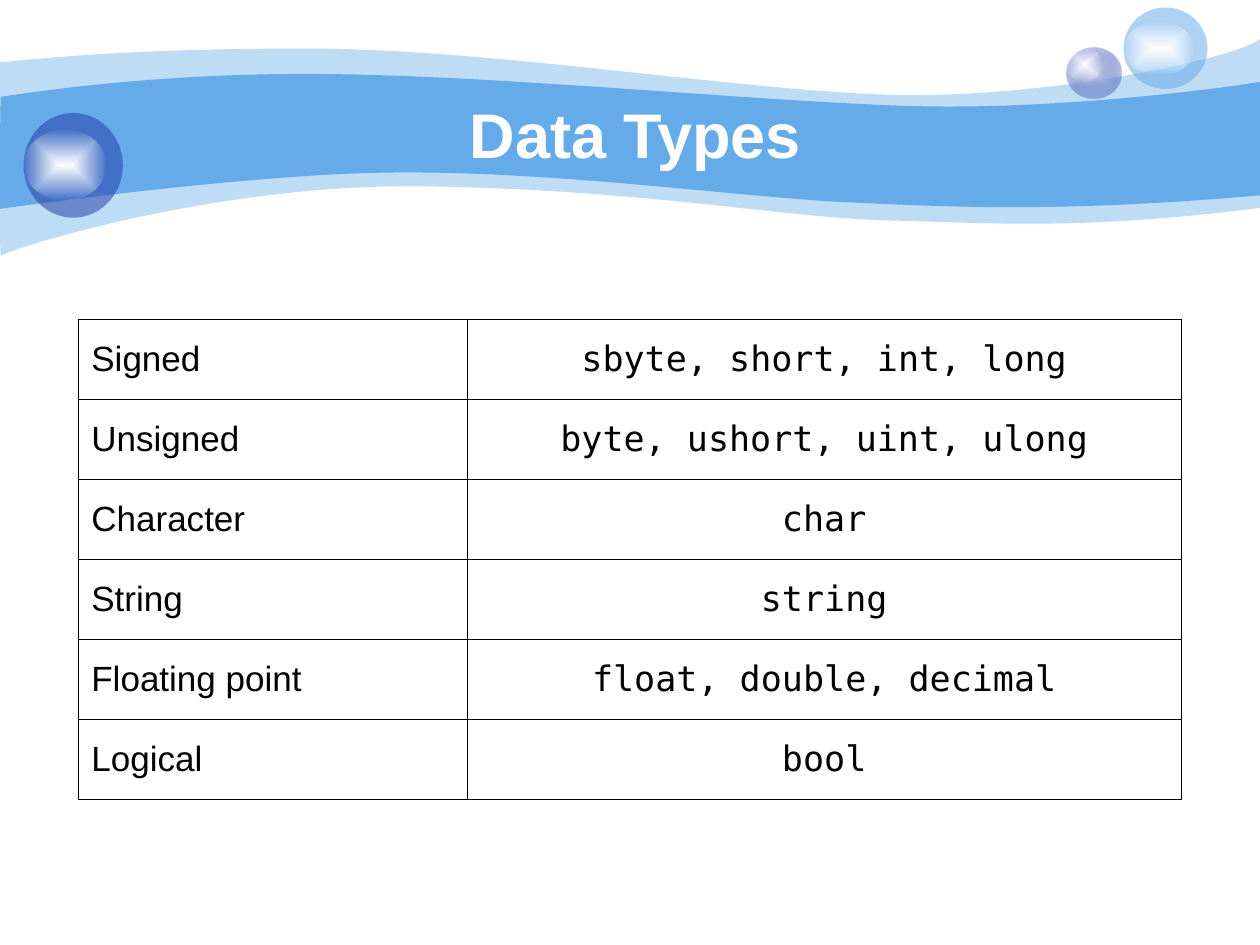
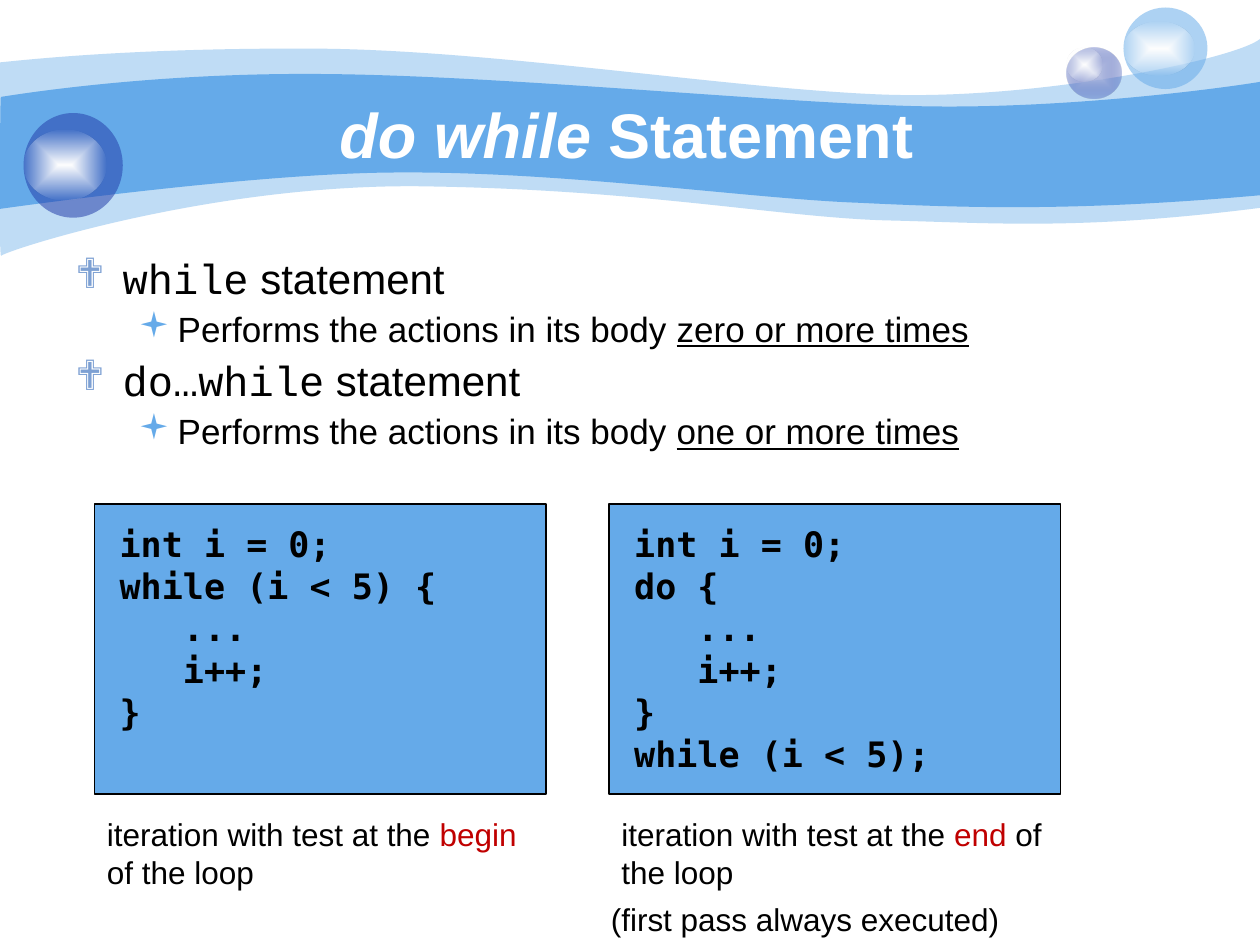
from lxml import etree
from pptx import Presentation
from pptx.dml.color import RGBColor
from pptx.enum import shapes, text
from pptx.oxml import parse_xml
from pptx.oxml.ns import nsdecls, qn
from pptx.util import Pt

COLORS = {
    "sky": "65AAE9",
    "navy": "233DA9",
    "lilac": "C7CEE9",
    "bullet": "7DA0D3",
    "red": "C00000",
    "black": "000000",
    "white": "FFFFFF",
}
SANS, COURIER, MONO, SYMBOLS = "Arial", "Courier New", "DejaVu Sans Mono", "Wingdings"

# Wave outlines in points: start, upper curves, lower right corner, lower curves.
# Each curve is two handles and an end point.
WAVES = [
    {"alpha": 41, "start": (-0.3, 35.7),
     "upper": [(17, 34), (77, 27.4), (178, 27.8), (278, 28), (414, 50.4), (503, 54),
               (592, 57.6), (706, 33.8), (720, 22.3)],
     "corner": (720, 118.8),
     "lower": [(618, 131.8), (567, 127.4), (508, 126), (448, 124.6), (371, 108.7),
               (247, 106.6), (124, 103.7), (3, 143.3), (0.7, 146.2),
               (-0.7, 149.8), (-0.3, 54), (-0.3, 35.7)]},
    {"alpha": 100, "start": (0.5, 55.4),
     "upper": [(1.4, 55.4), (79, 41.8), (178.6, 42.3), (278, 42.5), (428, 57.6),
               (517, 60.5), (605.5, 63.4), (703, 49.7), (720, 46.8)],
     "corner": (720, 111.6),
     "lower": [(614, 121), (551, 118.8), (491, 115.9), (431, 113.8), (322, 97.9),
               (228, 98.6), (146, 98.6), (-1.4, 119.5), (-0.7, 119.5),
               (0, 119.5), (0, 55.4), (0.5, 55.4)]},
]

# Each bubble: outer box, gloss box, gradient stops as (position, color, alpha)
BUBBLES = [
    ((609.6, 27, 31, 29.3), (609.6, 27, 20.2, 19.4),
     [(0, "lilac", 100), (100, "navy", 31)]),
    ((642, 4.3, 48, 46.6), (642, 12.2, 40.3, 31), [(0, "sky", 53)]),
    ((13.5, 64.6, 56.7, 59.8), (13.5, 74.4, 47.3, 40.1), [(0, "navy", 53)]),
]
GLOSS = [(0, "white", 100), (100, "white", 0)]

DATA_TYPES = [
    ("Signed", "sbyte, short, int, long"),
    ("Unsigned", "byte, ushort, uint, ulong"),
    ("Character", "char"),
    ("String", "string"),
    ("Floating point", "float, double, decimal"),
    ("Logical", "bool"),
]

BULLET_LEVELS = [
    {"char": "❖", "color": "bullet", "left": 27, "indent": -27, "size": 24, "before": 6},
    {"char": "▪", "color": "sky", "left": 58.5, "indent": -22.5, "size": 20, "before": 5},
]
BULLETS = [
    (0, [("while", {"name": COURIER}), (" statement", {})]),
    (1, [("Performs the actions in its body ", {}),
         ("zero or more times", {"underline": True})]),
    (0, [("do…while", {"name": COURIER}), (" statement", {})]),
    (1, [("Performs the actions in its body ", {}),
         ("one or more times", {"underline": True})]),
]

# Each loop: left edge, code lines, highlighted word of the caption
LOOPS = [
    (54, ["int i = 0;", "while (i < 5) {", "   ...", "   i++;", "}"], "begin"),
    (348, ["int i = 0;", "do {", "   ...", "   i++;", "}", "while (i < 5);"], "end"),
]


def rgb(color):
    return RGBColor.from_string(COLORS[color])


def set_all(target, values):
    for name, value in values.items():
        setattr(target, name, value)


def place(shape, left, top, width, height):
    set_all(shape, {"left": Pt(left), "top": Pt(top),
                    "width": Pt(width), "height": Pt(height)})


def add_run(paragraph, words, size, color="black", **formats):
    run = paragraph.add_run()
    run.text = words
    set_all(run.font, {"name": SANS, "size": Pt(size), **formats})
    run.font.color.rgb = rgb(color)


def set_fill(shape, stops):
    """Fill with one translucent color, or with a gradient from the centre outwards."""
    shape.shadow.inherit = False
    shape.line.fill.background()
    if len(stops) == 1:
        _, color, alpha = stops[0]
        shape.fill.solid()
        shape.fill.fore_color.rgb = rgb(color)
        if alpha < 100:
            color_node = shape.element.spPr.find(qn("a:solidFill"))[0]
            etree.SubElement(color_node, qn("a:alpha"), val=str(alpha * 1000))
        return
    stop_list = "".join(
        f'<a:gs pos="{position * 1000}"><a:srgbClr val="{COLORS[color]}">'
        f'<a:alpha val="{alpha * 1000}"/></a:srgbClr></a:gs>'
        for position, color, alpha in stops)
    gradient = parse_xml(
        f'<a:gradFill {nsdecls("a")} rotWithShape="1"><a:gsLst>{stop_list}</a:gsLst>'
        '<a:path path="rect"><a:fillToRect l="50000" t="50000" r="50000" b="50000"/>'
        '</a:path></a:gradFill>')
    shape.element.spPr.find(qn("a:prstGeom")).addnext(gradient)


def merge_curves(segments):
    """Turn every three line segments into one cubic curve."""
    for first in range(0, len(segments), 3):
        curve = etree.Element(qn("a:cubicBezTo"))
        segments[first].addprevious(curve)
        for segment in segments[first:first + 3]:
            curve.append(segment[0])
            segment.getparent().remove(segment)


def add_wave(slide, wave):
    upper, lower = wave["upper"], wave["lower"]
    start_x, start_y = wave["start"]
    builder = slide.shapes.build_freeform(Pt(start_x), Pt(start_y))
    builder.add_line_segments(
        [(Pt(x), Pt(y)) for x, y in upper + [wave["corner"]] + lower], close=True)
    shape = builder.convert_to_shape()
    segments = list(shape.element.iter(qn("a:lnTo")))
    merge_curves(segments[:len(upper)])
    merge_curves(segments[len(upper) + 1:len(upper) + 1 + len(lower)])
    set_fill(shape, [(0, "sky", wave["alpha"])])
    return shape


def add_ellipse(slide, box, stops):
    shape = slide.shapes.add_shape(shapes.MSO_SHAPE.OVAL, *map(Pt, box))
    set_fill(shape, stops)
    return shape


def add_bubble(slide, outer, gloss, stops):
    return slide.shapes.add_group_shape(
        [add_ellipse(slide, outer, stops), add_ellipse(slide, gloss, GLOSS)])


def decorate_layout(layout, slide):
    """Draw the waves and bubbles once and move them behind the layout's title."""
    decorations = [add_wave(slide, wave) for wave in WAVES]
    decorations += [add_bubble(slide, *bubble) for bubble in BUBBLES]
    title = layout.placeholders[0].element
    for shape in decorations:
        title.addprevious(shape.element)


def set_title(slide, runs):
    title = slide.shapes.title
    place(title, 72, 53.8, 582, 44.6)
    title.text_frame.vertical_anchor = text.MSO_ANCHOR.MIDDLE
    title.text_frame.word_wrap = True
    paragraph = title.text_frame.paragraphs[0]
    paragraph.alignment = text.PP_ALIGN.CENTER
    for words, italic in runs:
        add_run(paragraph, words, 36, "white", bold=True, italic=italic)


def add_text(slide, box):
    frame = slide.shapes.add_textbox(*map(Pt, box)).text_frame
    frame.word_wrap = True
    return frame


def set_borders(cell):
    properties = cell._tc.get_or_add_tcPr()
    for side in "LRTB":
        properties.append(parse_xml(
            f'<a:ln{side} {nsdecls("a")} w="{Pt(0.45)}"><a:solidFill>'
            f'<a:srgbClr val="{COLORS["black"]}"/></a:solidFill></a:ln{side}>'))


def add_types_table(slide):
    row_height = 45.75
    frame = slide.shapes.add_table(len(DATA_TYPES), 2, Pt(45), Pt(182.6),
                                   Pt(630), Pt(row_height * len(DATA_TYPES)))
    table = frame.table
    set_all(table, {"first_row": False, "horz_banding": False})
    for column, width in zip(table.columns, (222, 408)):
        column.width = Pt(width)
    styles = [(SANS, text.PP_ALIGN.LEFT), (MONO, text.PP_ALIGN.CENTER)]
    for row, entries in zip(table.rows, DATA_TYPES):
        row.height = Pt(row_height)
        for cell, words, (font, alignment) in zip(row.cells, entries, styles):
            set_borders(cell)
            cell.fill.solid()
            cell.fill.fore_color.rgb = rgb("white")
            cell.vertical_anchor = text.MSO_ANCHOR.MIDDLE
            paragraph = cell.text_frame.paragraphs[0]
            paragraph.alignment = alignment
            add_run(paragraph, words, 20, name=font)


def add_bullets(slide):
    frame = add_text(slide, (36, 144, 648, 354))
    for index, (level, runs) in enumerate(BULLETS):
        paragraph = frame.add_paragraph() if index else frame.paragraphs[0]
        style = BULLET_LEVELS[level]
        properties = paragraph._p.get_or_add_pPr()
        properties.set("marL", str(Pt(style["left"])))
        properties.set("indent", str(Pt(style["indent"])))
        bullet_color = etree.SubElement(properties, qn("a:buClr"))
        etree.SubElement(bullet_color, qn("a:srgbClr"), val=COLORS[style["color"]])
        etree.SubElement(properties, qn("a:buFont"), typeface=SYMBOLS, charset="2")
        etree.SubElement(properties, qn("a:buChar"), char=style["char"])
        set_all(paragraph, {"level": level, "line_spacing": 0.9,
                            "space_before": Pt(style["before"] if index else 0)})
        for words, formats in runs:
            add_run(paragraph, words, style["size"], **formats)


def add_code_box(slide, left, lines):
    shape = slide.shapes.add_shape(shapes.MSO_SHAPE.RECTANGLE,
                                   Pt(left), Pt(288), Pt(258), Pt(165.6))
    shape.shadow.inherit = False
    shape.fill.solid()
    shape.fill.fore_color.rgb = rgb("sky")
    shape.line.color.rgb = rgb("black")
    shape.line.width = Pt(1)
    frame = shape.text_frame
    set_all(frame, {"margin_left": Pt(14.4), "margin_right": Pt(14.4),
                    "margin_top": Pt(10.8), "margin_bottom": Pt(10.8),
                    "vertical_anchor": text.MSO_ANCHOR.TOP, "word_wrap": True})
    for index, line in enumerate(lines):
        paragraph = frame.add_paragraph() if index else frame.paragraphs[0]
        paragraph.alignment = text.PP_ALIGN.LEFT
        add_run(paragraph, line, 20, name=MONO, bold=True)


def add_caption(slide, box, runs):
    paragraph = add_text(slide, box).paragraphs[0]
    for words, color in runs:
        add_run(paragraph, words, 18, color)


def main():
    presentation = Presentation()
    set_all(presentation, {"slide_width": Pt(720), "slide_height": Pt(540)})
    layout = presentation.slide_layouts[5]
    for placeholder in list(layout.placeholders)[1:]:
        placeholder.element.getparent().remove(placeholder.element)

    # Data types
    slide = presentation.slides.add_slide(layout)
    decorate_layout(layout, slide)
    set_title(slide, [("Data Types", False)])
    add_types_table(slide)

    # Loops tested at the start and at the end
    slide = presentation.slides.add_slide(layout)
    set_title(slide, [("do while ", True), ("Statement ", False)])
    add_bullets(slide)
    for left, lines, keyword in LOOPS:
        add_code_box(slide, left, lines)
        add_caption(slide, (left, 462.2, 258, 50.4),
                    [("iteration with test at the ", "black"), (keyword, "red"),
                     (" of the loop", "black")])
    add_caption(slide, (342, 511, 258, 29), [("(first pass always executed)", "black")])

    presentation.save("out.pptx")


if __name__ == "__main__":
    main()
